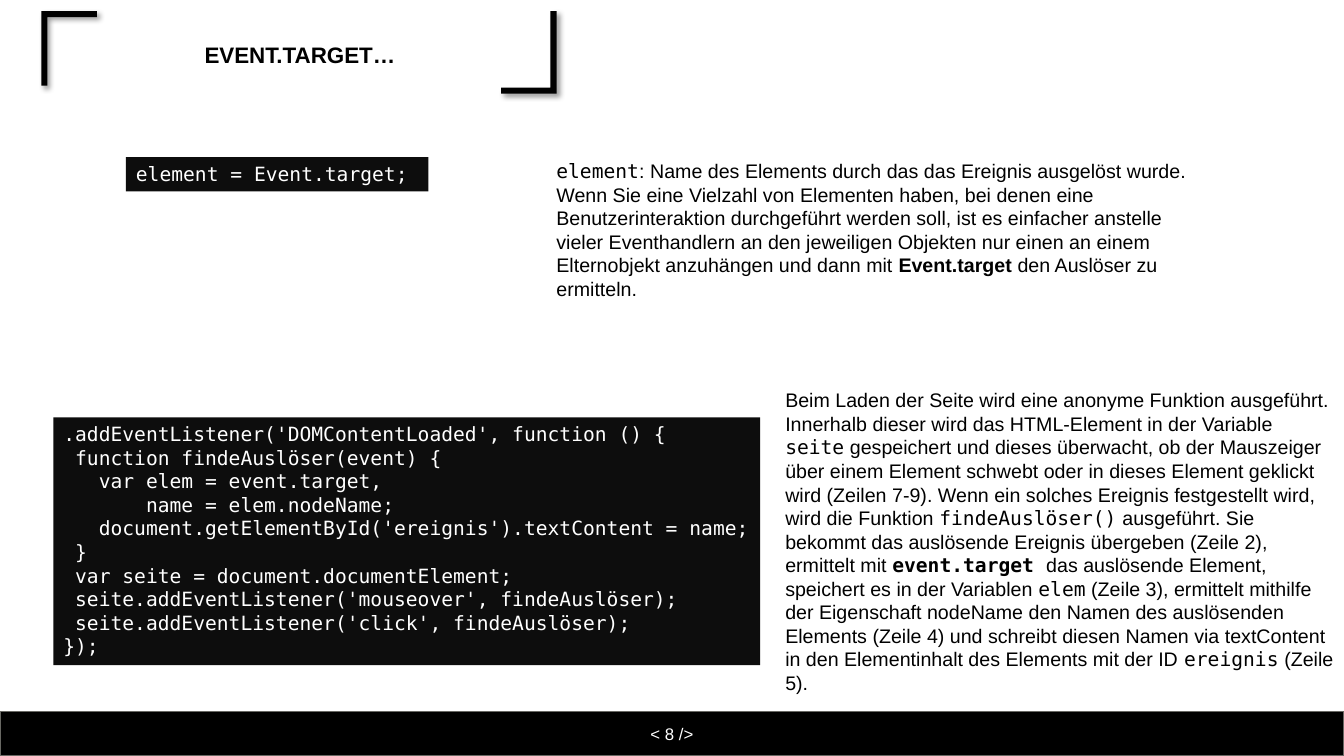
import dataclasses

import pptx
import pptx.dml.color
import pptx.enum.shapes
import pptx.enum.text
import pptx.oxml
import pptx.oxml.ns
import pptx.util

Inches = pptx.util.Inches
Align = pptx.enum.text.PP_ALIGN
Anchor = pptx.enum.text.MSO_ANCHOR
AutoSize = pptx.enum.text.MSO_AUTO_SIZE

SHADOW = (
    f'<a:effectLst {pptx.oxml.ns.nsdecls("a")}>'
    '<a:outerShdw blurRad="50800" dist="38100" dir="2700000" algn="tl" rotWithShape="0">'
    '<a:srgbClr val="000000"><a:alpha val="40000"/></a:srgbClr>'
    '</a:outerShdw></a:effectLst>'
)


@dataclasses.dataclass(frozen=True)
class Theme:
    ink: str = "000000"
    paper: str = "FFFFFF"
    code_fill: str = "0D0D0D"
    bar_line: str = "686863"
    sans: str = "Arial"
    mono: str = "DejaVu Sans Mono"
    title_size: int = 20
    body_size: int = 14
    footer_size: int = 12


def rgb(value):
    return pptx.dml.color.RGBColor.from_string(value)


class SlideBuilder:
    def __init__(self, page, theme):
        self.page = page
        self.theme = theme

    def add_span(self, para, text, size, color, mono=False, bold=False):
        span = para.add_run()
        span.text = text
        span.font.name = self.theme.mono if mono else self.theme.sans
        span.font.size = pptx.util.Pt(size)
        span.font.bold = bold
        span.font.color.rgb = rgb(color)
        return span

    def add_paragraphs(self, frame, paragraphs, size, color, align=Align.LEFT):
        """Each paragraph is a list of (text, style) pairs; style holds 'm' and/or 'b'."""
        for index, spans in enumerate(paragraphs):
            para = frame.paragraphs[0] if index == 0 else frame.add_paragraph()
            para.alignment = align
            for text, style in spans:
                self.add_span(para, text, size, color, "m" in style, "b" in style)

    def title(self, text, left, top, width, height):
        box = self.page.shapes.title
        box.left, box.top, box.width, box.height = map(Inches, (left, top, width, height))
        frame = box.text_frame
        frame.word_wrap = True
        frame.auto_size = AutoSize.NONE
        frame.vertical_anchor = Anchor.MIDDLE
        para = frame.paragraphs[0]
        para.alignment = Align.CENTER
        para.line_spacing = 0.9
        span = self.add_span(para, text, self.theme.title_size, self.theme.ink, bold=True)
        span.font._element.set("cap", "small")

    def bracket(self, x, y, arm_x, arm_y, thickness=0.06):
        """Right-angled corner at (x, y); the signs of the arms give its direction."""
        inner_x = x + (thickness if arm_x > 0 else -thickness)
        inner_y = y + (thickness if arm_y > 0 else -thickness)
        outline = [(x, y), (x + arm_x, y), (x + arm_x, inner_y),
                   (inner_x, inner_y), (inner_x, y + arm_y), (x, y + arm_y)]
        points = [(Inches(px), Inches(py)) for px, py in outline]
        builder = self.page.shapes.build_freeform(*points[0])
        builder.add_line_segments(points[1:], close=True)
        corner = builder.convert_to_shape()
        corner.fill.solid()
        corner.fill.fore_color.rgb = rgb(self.theme.ink)
        corner.line.fill.background()
        corner._element.spPr.append(pptx.oxml.parse_xml(SHADOW))

    def panel(self, left, top, width, height, fill, line=None):
        box = self.page.shapes.add_shape(
            pptx.enum.shapes.MSO_SHAPE.RECTANGLE, *map(Inches, (left, top, width, height)))
        box.shadow.inherit = False
        box.fill.solid()
        box.fill.fore_color.rgb = rgb(fill)
        if line:
            box.line.color.rgb = rgb(line)
            box.line.width = pptx.util.Pt(1)
        else:
            box.line.fill.background()
        return box

    def code(self, lines, left, top, width, height):
        frame = self.panel(left, top, width, height, self.theme.code_fill).text_frame
        frame.word_wrap = False
        frame.auto_size = AutoSize.SHAPE_TO_FIT_TEXT
        frame.vertical_anchor = Anchor.TOP
        self.add_paragraphs(frame, [[(line, "m")] for line in lines],
                            self.theme.body_size, self.theme.paper)

    def text(self, paragraphs, left, top, width, height, anchor=Anchor.TOP):
        box = self.page.shapes.add_textbox(*map(Inches, (left, top, width, height)))
        frame = box.text_frame
        frame.word_wrap = True
        frame.auto_size = AutoSize.SHAPE_TO_FIT_TEXT
        frame.vertical_anchor = anchor
        self.add_paragraphs(frame, paragraphs, self.theme.body_size, self.theme.ink)

    def footer(self, text, left, top, width, height):
        bar = self.panel(left, top, width, height, self.theme.ink, self.theme.bar_line)
        frame = bar.text_frame
        frame.vertical_anchor = Anchor.MIDDLE
        self.add_paragraphs(frame, [[(text, "")]], self.theme.footer_size,
                            self.theme.paper, Align.CENTER)


SYNTAX = ["element = Event.target;"]

LISTING = [
    ".addEventListener('DOMContentLoaded', function () {",
    " function findeAuslöser(event) {",
    "   var elem = event.target,",
    "       name = elem.nodeName;",
    "   document.getElementById('ereignis').textContent = name;",
    " }",
    " var seite = document.documentElement;",
    " seite.addEventListener('mouseover', findeAuslöser);",
    " seite.addEventListener('click', findeAuslöser);",
    "});",
]

SYNTAX_NOTE = [
    [("element", "m"),
     (": Name des Elements durch das das Ereignis ausgelöst wurde.", "")],
    [("Wenn Sie eine Vielzahl von Elementen haben, bei denen eine Benutzerinteraktion "
      "durchgeführt werden soll, ist es einfacher anstelle vieler Eventhandlern an den "
      "jeweiligen Objekten nur einen an einem Elternobjekt anzuhängen und dann mit ", ""),
     ("Event.target", "b"),
     (" den Auslöser zu ermitteln.", "")],
]

LISTING_NOTE = [[
    ("Beim Laden der Seite wird eine anonyme Funktion ausgeführt. Innerhalb dieser wird "
     "das HTML-Element in der Variable ", ""),
    ("seite", "m"),
    (" gespeichert und dieses überwacht, ob der Mauszeiger über einem Element schwebt oder "
     "in dieses Element geklickt wird (Zeilen 7-9). Wenn ein solches Ereignis festgestellt "
     "wird, wird die Funktion ", ""),
    ("findeAuslöser()", "m"),
    (" ausgeführt. Sie bekommt das auslösende Ereignis übergeben (Zeile 2), ermittelt mit ", ""),
    ("event.target ", "mb"),
    ("das auslösende Element, speichert es in der Variablen ", ""),
    ("elem", "m"),
    (" (Zeile 3), ermittelt mithilfe der Eigenschaft nodeName den Namen des auslösenden "
     "Elements (Zeile 4) und schreibt diesen Namen via textContent in den Elementinhalt "
     "des Elements mit der ID ", ""),
    ("ereignis", "m"),
    (" (Zeile 5).", ""),
]]


def main():
    deck = pptx.Presentation()
    deck.slide_width, deck.slide_height = Inches(13.33), Inches(7.5)
    page = deck.slides.add_slide(deck.slide_layouts[5])
    slide = SlideBuilder(page, Theme())

    # Title framed by two corner brackets
    slide.bracket(0.41, 0.11, 0.55, 0.74)
    slide.bracket(5.52, 0.93, -0.55, -0.82)
    slide.title("event.target…", 0.53, 0.24, 4.89, 0.6)

    # Syntax and its explanation
    slide.code(SYNTAX, 1.25, 1.56, 3, 0.34)
    slide.text(SYNTAX_NOTE, 5.42, 1.53, 6.67, 1.51)

    # Listing and its explanation
    slide.code(LISTING, 0.53, 4.14, 7.01, 2.46)
    slide.text(LISTING_NOTE, 7.69, 3.79, 5.64, 3.16, Anchor.MIDDLE)

    # Footer bar with the page number
    slide.footer("< 8 />", 0, 7.06, 13.33, 0.44)

    deck.save("out.pptx")


if __name__ == "__main__":
    main()
